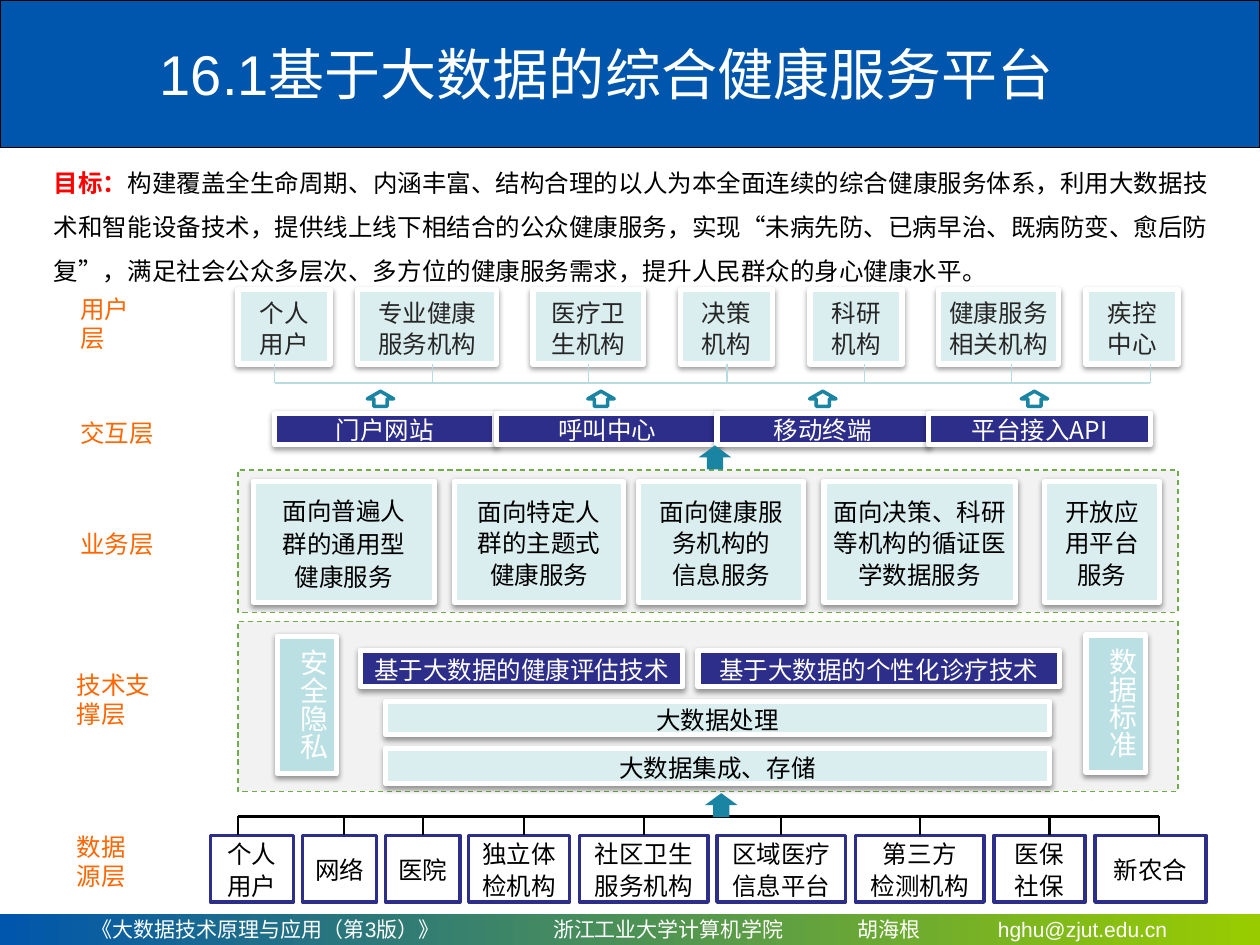
from dataclasses import dataclass
from typing import Any, Optional

from lxml.etree import SubElement
from pptx import Presentation
from pptx.dml.color import RGBColor
from pptx.enum.dml import MSO_LINE
from pptx.enum.shapes import MSO_CONNECTOR, MSO_SHAPE
from pptx.enum.text import MSO_ANCHOR, PP_ALIGN
from pptx.oxml.ns import qn
from pptx.util import Emu, Pt

EMU_PER_PX = 9144


@dataclass(frozen=True)
class Theme:
    latin: str = "Arial"
    chinese: str = "Noto Sans CJK SC"
    title_size: int = 32
    side_size: int = 16
    body_size: int = 14
    footer_size: int = 12
    blue: str = "0056AC"
    lime: str = "99CC00"
    navy: str = "2D2D8A"
    teal: str = "1A84A3"
    aqua: str = "BBE0E3"
    pale: str = "DAEDEF"
    thread: str = "B6DCDF"
    panel: str = "F2F2F2"
    green: str = "70AD47"
    orange: str = "FF6600"
    red: str = "FF0000"
    ink: str = "262626"
    black: str = "000000"
    white: str = "FFFFFF"


@dataclass(frozen=True)
class Box:
    left: int
    width: int
    text: str
    spacing: Any = Pt(18)


@dataclass(frozen=True)
class Style:
    fill: Optional[str] = None
    line: Optional[str] = None
    weight: float = 1
    color: str = "000000"
    shadow: bool = False


@dataclass(frozen=True)
class Row:
    top: int
    height: int
    style: Style
    boxes: tuple[Box, ...]


@dataclass(frozen=True)
class Tree:
    bar: int
    start: int
    end: int
    stems: tuple[int, ...]
    color: str
    weight: float


THEME = Theme()
CARD = Style(THEME.pale, THEME.white, 3, THEME.black, True)
USER = Style(THEME.pale, THEME.white, 3, THEME.ink, True)
BANNER = Style(THEME.navy, THEME.white, 3, THEME.white, True)
SIDE = Style(THEME.aqua, THEME.white, 3, THEME.white, True)
SOURCE = Style(THEME.white, THEME.navy, 2)
PANEL = Style(THEME.panel, THEME.green, 0.75)
SOLID_ARROW = Style(THEME.teal)
OPEN_ARROW = Style(None, THEME.teal, 2)
CENTERED = {"word_wrap": False, "vertical_anchor": MSO_ANCHOR.MIDDLE,
            "margin_left": 0, "margin_right": 0}
MIDDLE = {"word_wrap": True, "vertical_anchor": MSO_ANCHOR.MIDDLE}

ROWS = (
    Row(230, 59, USER, (
        Box(189, 73, "个人\n用户"), Box(284, 110, "专业健康\n服务机构"),
        Box(423, 88, "医疗卫\n生机构"), Box(540, 73, "决策\n机构"),
        Box(643, 73, "科研\n机构"), Box(745, 95, "健康服务\n相关机构"),
        Box(862, 73, "疾控\n中心"))),
    Row(328, 25, BANNER, (
        Box(218, 175, "门户网站"), Box(394, 176, "呼叫中心"),
        Box(569, 168, "移动终端"), Box(737, 176, "平台接入API"))),
    Row(382, 96, CARD, (
        Box(201, 144, "面向普遍人\n群的通用型\n健康服务", Pt(19)),
        Box(361, 134, "面向特定人\n群的主题式\n健康服务"),
        Box(507, 131, "面向健康服\n务机构的\n信息服务"),
        Box(654, 152, "面向决策、科研\n等机构的循证医\n学数据服务"),
        Box(829, 91, "开放应\n用平台\n服务"))),
    Row(516, 29, BANNER, (
        Box(286, 256, "基于大数据的健康评估技术", 1.1),
        Box(554, 287, "基于大数据的个性化诊疗技术", 1.1))),
    Row(557, 26, CARD, (Box(306, 527, "大数据处理", 1.1),)),
    Row(594, 28, CARD, (Box(306, 527, "大数据集成、存储", 1.1),)),
    Row(663, 53, SOURCE, (
        Box(167, 66, "个人\n用户"), Box(240, 59, "网络"), Box(306, 59, "医院"),
        Box(372, 80, "独立体\n检机构"), Box(460, 102, "社区卫生\n服务机构"),
        Box(569, 102, "区域医疗\n信息平台"), Box(679, 102, "第三方\n检测机构"),
        Box(789, 72, "医保\n社保"), Box(869, 88, "新农合"))),
)
TREES = (
    Tree(304, 289, 304, (218, 343, 467, 577, 686, 803, 913), THEME.thread, 0.75),
    Tree(648, 648, 663, (189, 273, 336, 416, 511, 620, 730, 833, 920), THEME.black, 1.25),
)
LABELS = ((54, 240, 73, 33, "用户层"), (54, 328, 81, 31, "交互层"),
          (54, 407, 90, 49, "业务层"), (51, 523, 84, 64, "技术支撑层"),
          (51, 673, 75, 21, "数据源层"))
GOAL = ("构建覆盖全生命周期、内涵丰富、结构合理的以人为本全面连续的综合健康服务体系，"
        "利用大数据技术和智能设备技术，提供线上线下相结合的公众健康服务，"
        "实现“未病先防、已病早治、既病防变、愈后防复”，"
        "满足社会公众多层次、多方位的健康服务需求，提升人民群众的身心健康水平。")
FOOTER = ("《大数据技术原理与应用（第3版）》", "浙江工业大学计算机学院", "胡海根", "hghu@zjut.edu.cn")
FOOTER_TABS = (366, 608, 719)


def px(*lengths: int) -> list[Emu]:
    return [Emu(length * EMU_PER_PX) for length in lengths]


def apply(target: Any, values: dict[str, Any]) -> None:
    for name, value in values.items():
        setattr(target, name, value)


def add_run(paragraph: Any, text: str, size: int, color: str,
            latin: str = THEME.chinese, bold: bool = False) -> None:
    run = paragraph.add_run()
    run.text = text
    apply(run.font, {"size": Pt(size), "name": latin, "bold": bold})
    run.font.color.rgb = RGBColor.from_string(color)
    SubElement(run.font._element, qn("a:ea"), typeface=THEME.chinese)


def add_box(slide: Any, bounds: tuple[int, ...], style: Style,
            kind: MSO_SHAPE = MSO_SHAPE.RECTANGLE) -> Any:
    shape = slide.shapes.add_shape(kind, *px(*bounds))
    shape.shadow.inherit = False
    if style.fill:
        shape.fill.solid()
        shape.fill.fore_color.rgb = RGBColor.from_string(style.fill)
    else:
        shape.fill.background()
    if style.line:
        shape.line.color.rgb = RGBColor.from_string(style.line)
        shape.line.width = Pt(style.weight)
    else:
        shape.line.fill.background()
    if style.shadow:
        effects = shape._element.spPr.find(qn("a:effectLst"))
        shadow = SubElement(effects, qn("a:outerShdw"), blurRad="40000",
                            dist="20000", dir="5400000", rotWithShape="0")
        color = SubElement(shadow, qn("a:srgbClr"), val=THEME.black)
        SubElement(color, qn("a:alpha"), val="38000")
    return shape


def add_row(slide: Any, row: Row) -> None:
    for box in row.boxes:
        shape = add_box(slide, (box.left, row.top, box.width, row.height), row.style)
        apply(shape.text_frame, CENTERED)
        for index, text in enumerate(box.text.split("\n")):
            frame = shape.text_frame
            paragraph = frame.add_paragraph() if index else frame.paragraphs[0]
            apply(paragraph, {"alignment": PP_ALIGN.CENTER, "line_spacing": box.spacing})
            add_run(paragraph, text, THEME.body_size, row.style.color)


def add_line(slide: Any, ends: tuple[int, ...], tree: Tree) -> None:
    line = slide.shapes.add_connector(MSO_CONNECTOR.STRAIGHT, *px(*ends))
    line.line.color.rgb = RGBColor.from_string(tree.color)
    line.line.width = Pt(tree.weight)
    SubElement(line._element.spPr, qn("a:effectLst"))


def add_tree(slide: Any, tree: Tree) -> None:
    add_line(slide, (tree.stems[0], tree.bar, tree.stems[-1], tree.bar), tree)
    for stem in tree.stems:
        add_line(slide, (stem, tree.start, stem, tree.end), tree)


def add_text(slide: Any, bounds: tuple[int, ...], values: dict[str, Any]) -> Any:
    frame = slide.shapes.add_textbox(*px(*bounds)).text_frame
    apply(frame, values)
    return frame.paragraphs[0]


def add_footer(slide: Any) -> None:
    shape = add_box(slide, (0, 725, 1000, 25), Style())
    shape.fill.gradient()
    shape.fill.gradient_angle = 0
    for stop, color in zip(shape.fill.gradient_stops, (THEME.blue, THEME.lime)):
        stop.color.rgb = RGBColor.from_string(color)
    apply(shape.text_frame, {**MIDDLE, "margin_left": px(73)[0], "margin_right": 0})
    paragraph = shape.text_frame.paragraphs[0]
    paragraph.alignment = PP_ALIGN.LEFT
    tabs = SubElement(paragraph._p.get_or_add_pPr(), qn("a:tabLst"))
    for position in px(*FOOTER_TABS):
        SubElement(tabs, qn("a:tab"), pos=str(int(position)), algn="l")
    add_run(paragraph, "\t".join(FOOTER), THEME.footer_size, THEME.white, THEME.latin)


def main() -> None:
    presentation = Presentation()
    apply(presentation, dict(zip(("slide_width", "slide_height"), px(1000, 750))))
    slide = presentation.slides.add_slide(presentation.slide_layouts[6])
    add_box(slide, (0, 0, 1000, 117), Style(THEME.blue, THEME.black, 0.75))
    add_footer(slide)
    title = add_text(slide, (117, 8, 883, 100), MIDDLE)
    add_run(title, "16.1基于大数据的综合健康服务平台", THEME.title_size, THEME.white, THEME.latin)
    for top, height in ((373, 113), (493, 135)):
        add_box(slide, (189, top, 746, height), PANEL).line.dash_style = MSO_LINE.DASH
    for *bounds, text in LABELS:
        label = add_text(slide, bounds, {**MIDDLE, "word_wrap": False})
        add_run(label, text, THEME.body_size, THEME.orange)
    for row in ROWS:
        add_row(slide, row)
    for tree in TREES:
        add_tree(slide, tree)
    arrows = [((left, 306, 12, 21), OPEN_ARROW) for left in (296, 471, 647, 815)]
    arrows += [((558, 350, 19, 26), SOLID_ARROW), ((563, 626, 19, 26), SOLID_ARROW)]
    for bounds, style in arrows:
        add_box(slide, bounds, style, MSO_SHAPE.RIGHT_ARROW).rotation = 270
    for left, top, text in ((220, 505, "安全隐私"), (862, 504, "数据标准")):
        frame = add_box(slide, (left, top, 47, 109), SIDE).text_frame
        frame.vertical_anchor = MSO_ANCHOR.TOP
        frame._txBody.bodyPr.set("vert", "eaVert")
        frame.paragraphs[0].alignment = PP_ALIGN.LEFT
        add_run(frame.paragraphs[0], text, THEME.side_size, THEME.white, THEME.latin)
    goal = add_text(slide, (33, 117, 950, 116), {"word_wrap": True})
    goal.line_spacing = 1.5
    add_run(goal, "目标：", THEME.body_size, THEME.red, bold=True)
    add_run(goal, GOAL, THEME.body_size, THEME.black)
    presentation.save("out.pptx")


if __name__ == "__main__":
    main()
